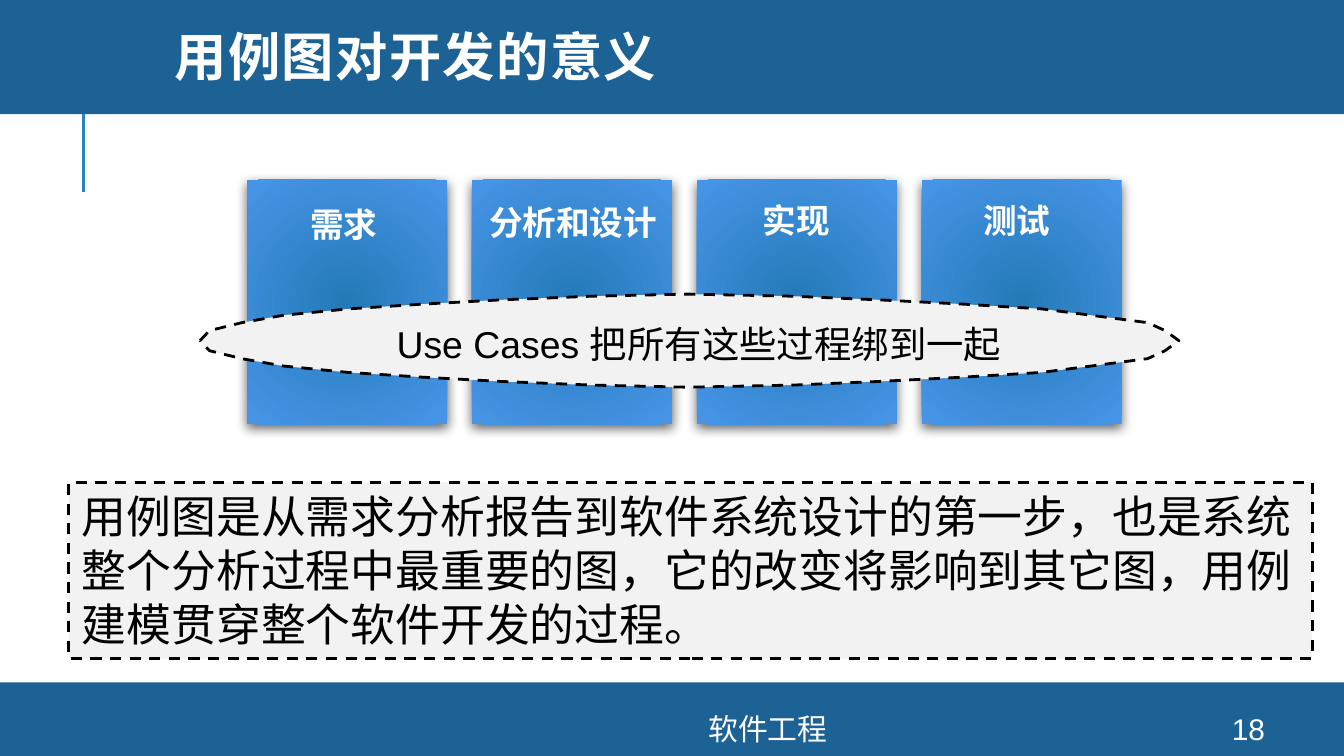
from dataclasses import dataclass

from lxml.etree import SubElement
from pptx import Presentation
from pptx.dml.color import RGBColor
from pptx.enum.dml import MSO_LINE
from pptx.enum.shapes import MSO_CONNECTOR, MSO_SHAPE
from pptx.enum.text import MSO_ANCHOR, PP_ALIGN
from pptx.oxml import parse_xml
from pptx.oxml.ns import nsdecls, qn
from pptx.util import Cm, Pt


@dataclass(frozen=True)
class Theme:
    band: str = "1D6294"
    rule: str = "2683C6"
    card_inner: str = "237AB8"
    card_outer: str = "4895E7"
    panel: str = "F2F2F2"
    dark: str = "000000"
    light: str = "FFFFFF"
    font: str = "Arial"
    title_font: str = "Montserrat"
    title_size: int = 28
    body_size: int = 24
    binding_size: int = 20
    label_size: int = 18
    footer_size: int = 16


THEME = Theme()

# Phase name, centre of its label and top of its label, in cm
PHASES = [("需求", 6.5, 3.76), ("分析和设计", 10.83, 3.71),
          ("实现", 15.05, 3.68), ("测试", 19.22, 3.68)]
CARD_LEFT, CARD_TOP, CARD_PITCH = 4.67, 3.4, 4.25
CARD_WIDTH, CARD_HEIGHT = 3.78, 4.62
LABEL_WIDTH = 4.45

# Oval rim: x positions from left to right and half heights up to the middle
OVAL_MIDDLE = 6.44
OVAL_X = [3.78, 3.96, 4.57, 5.36, 6.58, 7.98, 9.45, 11.18, 13,
          14.99, 16.64, 18.21, 19.69, 20.62, 21.69, 22.02, 22.28]
OVAL_RISE = [0, 0.19, 0.34, 0.48, 0.6, 0.69, 0.77, 0.84, 0.88]


def color(value):
    return RGBColor.from_string(value)


def write(shape, text, size, ink, font=THEME.font, bold=False,
          align=PP_ALIGN.LEFT, anchor=MSO_ANCHOR.TOP):
    frame = shape.text_frame
    frame.word_wrap = True
    frame.vertical_anchor = anchor
    paragraph = frame.paragraphs[0]
    paragraph.text = text
    paragraph.alignment = align
    paragraph.font.name = font
    paragraph.font.size = Pt(size)
    paragraph.font.bold = bold
    paragraph.font.color.rgb = color(ink)
    return paragraph


def add_text(slide, box, text, size, ink, tight=False, **style):
    shape = slide.shapes.add_textbox(*map(Cm, box))
    if tight:
        frame = shape.text_frame
        frame.margin_left = frame.margin_right = Cm(0.18)
        frame.margin_top = frame.margin_bottom = Cm(0.1)
    return write(shape, text, size, ink, **style)


def add_block(slide, box, fill):
    shape = slide.shapes.add_shape(MSO_SHAPE.RECTANGLE, *map(Cm, box))
    shape.shadow.inherit = False
    shape.fill.solid()
    shape.fill.fore_color.rgb = color(fill)
    shape.line.fill.background()
    return shape


def add_dashed_outline(shape):
    shape.line.color.rgb = color(THEME.dark)
    shape.line.width = Pt(1.5)
    shape.line.dash_style = MSO_LINE.DASH


def add_card(slide, left):
    shape = add_block(slide, (left, CARD_TOP, CARD_WIDTH, CARD_HEIGHT), THEME.card_outer)
    properties = shape._element.spPr
    # Radial gradient
    gradient = parse_xml(
        f'<a:gradFill {nsdecls("a")} rotWithShape="1"><a:gsLst>'
        f'<a:gs pos="0"><a:srgbClr val="{THEME.card_inner}"/></a:gs>'
        f'<a:gs pos="100000"><a:srgbClr val="{THEME.card_outer}"/></a:gs></a:gsLst>'
        '<a:path path="circle"><a:fillToRect l="100000" t="100000" r="100000" b="100000"/>'
        '</a:path></a:gradFill>')
    properties.replace(properties.find(qn("a:solidFill")), gradient)
    # Soft shadow below
    properties.find(qn("a:effectLst")).append(parse_xml(
        f'<a:outerShdw {nsdecls("a")} blurRad="{Pt(6)}" dist="{Pt(2)}" dir="5400000" '
        f'rotWithShape="0"><a:srgbClr val="{THEME.dark}"><a:alpha val="60000"/>'
        '</a:srgbClr></a:outerShdw>'))


def add_oval(slide):
    rises = OVAL_RISE + OVAL_RISE[-2::-1]
    upper = [(Cm(x), Cm(OVAL_MIDDLE - rise)) for x, rise in zip(OVAL_X, rises)]
    lower = [(Cm(x), Cm(OVAL_MIDDLE + rise)) for x, rise in zip(OVAL_X, rises)]
    builder = slide.shapes.build_freeform(*upper[0])
    builder.add_line_segments(upper[1:] + lower[-2:0:-1], close=True)
    shape = builder.convert_to_shape()
    shape.shadow.inherit = False
    shape.fill.solid()
    shape.fill.fore_color.rgb = color(THEME.panel)
    add_dashed_outline(shape)


def add_rule(slide, x, top, bottom):
    line = slide.shapes.add_connector(MSO_CONNECTOR.STRAIGHT, Cm(x), Cm(bottom), Cm(x), Cm(top))
    line.line.color.rgb = color(THEME.rule)
    line.line.width = Pt(1.5)
    SubElement(line._element.spPr, qn("a:effectLst"))


def add_title(slide, text):
    paragraph = add_text(slide, (3.05, 0, 21.56, 2.31), text, THEME.title_size, THEME.light,
                         font=THEME.title_font, bold=True, anchor=MSO_ANCHOR.MIDDLE)
    paragraph.line_spacing = 0.8
    paragraph.runs[0]._r.get_or_add_rPr().set("spc", "80")


def main():
    presentation = Presentation()
    presentation.slide_width, presentation.slide_height = Cm(25.4), Cm(14.29)
    slide = presentation.slides.add_slide(presentation.slide_layouts[6])

    # Frame of the page
    add_rule(slide, 1.58, 1.73, 3.63)
    add_block(slide, (0, 12.9, 25.4, 1.39), THEME.band)
    add_block(slide, (0, -0.08, 25.4, 2.24), THEME.band)
    add_title(slide, "用例图对开发的意义")

    # Development phases
    for index, (name, centre, top) in enumerate(PHASES):
        add_card(slide, CARD_LEFT + index * CARD_PITCH)
        add_text(slide, (centre - LABEL_WIDTH / 2, top, LABEL_WIDTH, 0.94), name,
                 THEME.label_size, THEME.light, tight=True, bold=True, align=PP_ALIGN.CENTER)

    # Oval that binds the phases
    add_oval(slide)
    add_text(slide, (6.1, 5.97, 14.22, 1.04), "Use Cases 把所有这些过程绑到一起",
             THEME.binding_size, THEME.dark, tight=True, align=PP_ALIGN.CENTER)

    # Explanation
    panel = add_block(slide, (1.3, 9.12, 23.5, 3.33), THEME.panel)
    add_dashed_outline(panel)
    write(panel, "用例图是从需求分析报告到软件系统设计的第一步，也是系统整个分析过程中最重要的图，"
          "它的改变将影响到其它图，用例建模贯穿整个软件开发的过程。", THEME.body_size, THEME.dark)

    # Footer
    for left, width, text in ((6.63, 15.77, "软件工程"), (22.58, 2.03, "18")):
        add_text(slide, (left, 13.49, width, 0.58), text, THEME.footer_size, THEME.light,
                 align=PP_ALIGN.CENTER, anchor=MSO_ANCHOR.MIDDLE)

    presentation.save("out.pptx")


if __name__ == "__main__":
    main()
